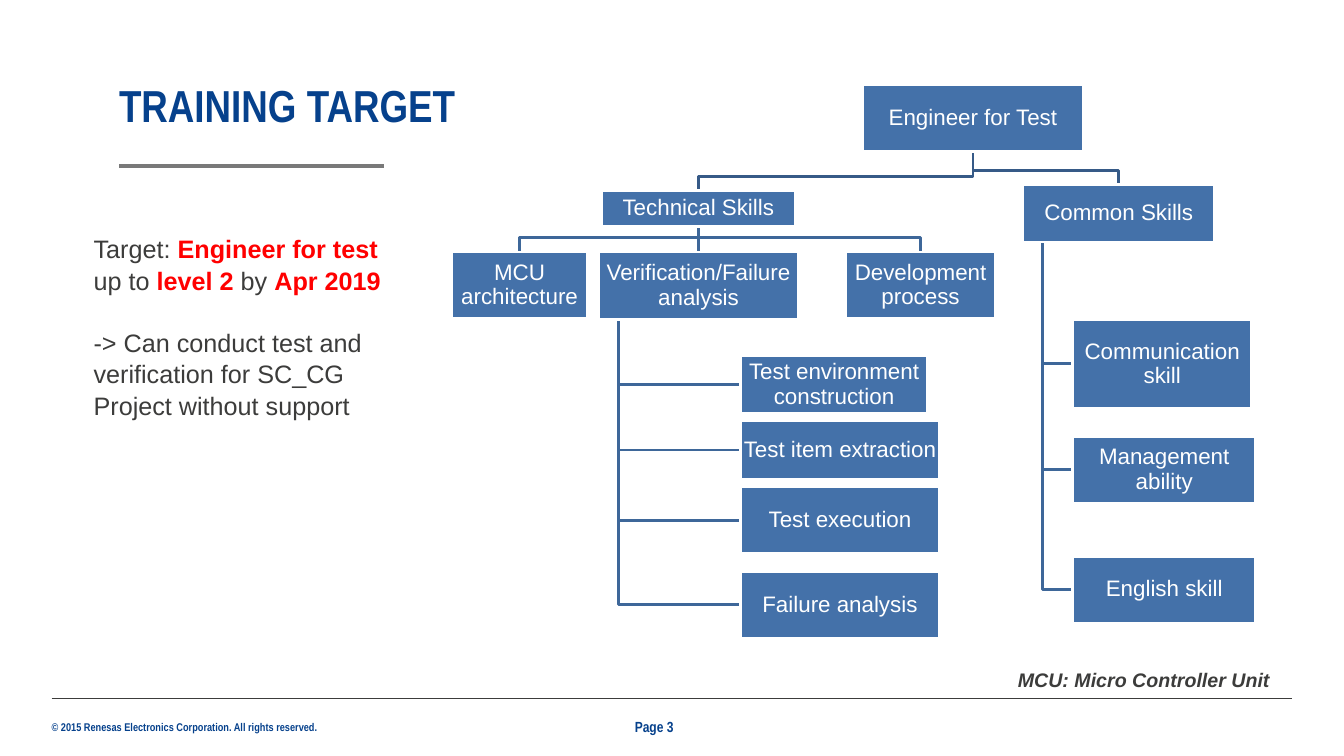
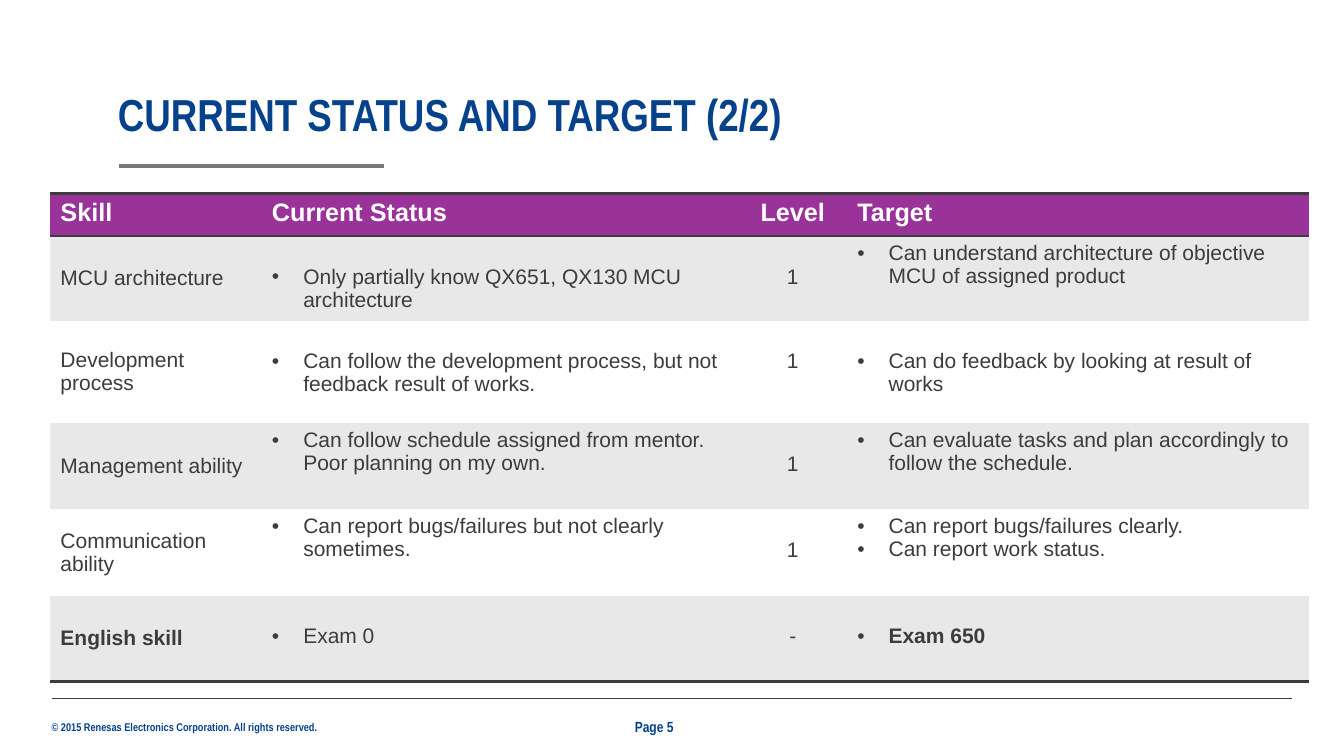
from lxml import etree
from pptx import Presentation
from pptx.dml.color import RGBColor
from pptx.enum import shapes, text
from pptx.oxml import ns
from pptx.util import Cm, Pt

BLUE = RGBColor(0x06, 0x41, 0x8C)
INK = RGBColor(0x3C, 0x3C, 0x3B)
GRAY = RGBColor(0x79, 0x79, 0x79)
RED = RGBColor(0xFF, 0x00, 0x00)
WHITE = RGBColor(0xFF, 0xFF, 0xFF)
BOX_BLUE = RGBColor(0x44, 0x71, 0xA9)
ROOT_LINK = RGBColor(0x36, 0x5A, 0x87)
LINK = RGBColor(0x3E, 0x67, 0x99)
PURPLE = RGBColor(0x99, 0x33, 0x99)
BAND = RGBColor(0xE8, 0xE8, 0xE8)

NARROW = {"name": "Arial Narrow", "bold": True}
BODY = {"name": "Arial", "size": Pt(18)}
BOX_FONT = {"name": "Arial", "size": Pt(16)}
CELL_FONT = {"name": "Arial", "size": Pt(15)}
NO_MARGINS = dict.fromkeys(
    ("margin_left", "margin_top", "margin_right", "margin_bottom"), 0)
MIDDLE = text.MSO_ANCHOR.MIDDLE
CENTER = text.PP_ALIGN.CENTER
NO_STYLE_TABLE = "{2D5ABB26-0587-4C30-8999-92F81FD0307C}"

# Skill boxes in cm: left, top, width, height
SKILLS = {
    "Engineer for Test": (21.74, 2.13, 5.56, 1.68),
    "Technical Skills": (15.16, 4.8, 4.88, 0.91),
    "Common Skills": (25.78, 4.65, 4.83, 1.45),
    "MCU architecture": (11.38, 6.35, 3.43, 1.68),
    "Verification/Failure analysis": (15.09, 6.35, 5.03, 1.7),
    "Development process": (21.31, 6.35, 3.78, 1.68),
    "Test environment construction": (18.67, 8.97, 4.7, 1.45),
    "Test item extraction": (18.67, 10.59, 5, 1.5),
    "Test execution": (18.67, 12.27, 5, 1.68),
    "Failure analysis": (18.67, 14.4, 5, 1.68),
    "Communication skill": (27.03, 8.05, 4.52, 2.24),
    "Management ability": (27.03, 11, 4.62, 1.68),
    "English skill": (27.03, 14.02, 4.62, 1.68),
}
FANS = {
    "Engineer for Test": ("Technical Skills", "Common Skills"),
    "Technical Skills": ("MCU architecture", "Verification/Failure analysis",
                         "Development process"),
}
LADDERS = {
    "Verification/Failure analysis": (
        "Test environment construction", "Test item extraction",
        "Test execution", "Failure analysis"),
    "Common Skills": ("Communication skill", "Management ability",
                      "English skill"),
}

HEADINGS = ("Skill", "Current Status", "Level", "Target")
COLUMN_WIDTHS = (5.33, 12.01, 2.74, 11.63)
ROW_HEIGHTS = (1.07, 2.02, 2.59, 2.17, 2.17, 2.17)
STATUS, LEVEL, TARGET = 1, 2, 3
# Cell texts, then the columns whose text starts one line lower
STATUS_ROWS = (
    (("MCU architecture",
      "Only partially know QX651, QX130 MCU architecture", "1",
      "Can understand architecture of objective MCU of assigned product"),
     (STATUS, LEVEL)),
    (("Development process",
      "Can follow the development process, but not feedback result of works.",
      "1", "Can do feedback by looking at result of works"),
     (STATUS, LEVEL, TARGET)),
    (("Management ability",
      "Can follow schedule assigned from mentor. Poor planning on my own.",
      "1", "Can evaluate tasks and plan accordingly to follow the schedule."),
     (LEVEL,)),
    (("Communication ability",
      "Can report bugs/failures but not clearly sometimes.", "1",
      "Can report bugs/failures clearly.\nCan report work status."),
     (LEVEL,)),
    (("English skill", "Exam 0", "-", "Exam 650"), (STATUS, LEVEL, TARGET)),
)
BOLD_CELLS = ("English skill", "Exam 650")


def apply(target, formats):
    for attribute, value in formats.items():
        setattr(target, attribute, value)


def write(paragraph, words, formats, color):
    run = paragraph.add_run()
    run.text = words
    apply(run.font, formats)
    run.font.color.rgb = color


def add_text(slide, place, frame_formats=None):
    """Add an empty wrapping text box and return its text frame."""
    frame = slide.shapes.add_textbox(*map(Cm, place)).text_frame
    apply(frame, {"word_wrap": True, **(frame_formats or {})})
    return frame


def add_rule(slide, left, right, y, color, width):
    rule = slide.shapes.add_connector(
        shapes.MSO_CONNECTOR.STRAIGHT, Cm(left), Cm(y), Cm(right), Cm(y))
    rule.line.color.rgb = color
    rule.line.width = Pt(width)
    etree.SubElement(rule.element.spPr, ns.qn("a:effectLst"))


def furnish_layout(layout, slide):
    """Draw the shared rules and copyright line, then move them to the layout."""
    own_count = len(slide.shapes)
    frame = add_text(slide, (1.3, 18.14, 6.81, 0.33),
                     {**NO_MARGINS, "word_wrap": False})
    write(frame.paragraphs[0],
          "© 2015 Renesas Electronics Corporation. All rights reserved.",
          {**NARROW, "size": Pt(8)}, BLUE)
    add_rule(slide, 1.3, 32.56, 17.6, INK, 0.5)
    add_rule(slide, 3, 9.68, 4.19, GRAY, 3)
    for shared in list(slide.shapes)[own_count:]:
        layout.shapes.element.append(shared.element)


def add_titled_slide(deck, layout, title, left, top, page):
    slide = deck.slides.add_slide(layout)
    holder = slide.shapes.title
    apply(holder, {"left": Cm(left), "top": Cm(top),
                   "width": Cm(25), "height": Cm(1.22)})
    apply(holder.text_frame, {
        **NO_MARGINS, "word_wrap": True,
        "vertical_anchor": text.MSO_ANCHOR.BOTTOM,
        "auto_size": text.MSO_AUTO_SIZE.NONE})
    heading = holder.text_frame.paragraphs[0]
    apply(heading, {"alignment": text.PP_ALIGN.LEFT, "line_spacing": 0.9})
    write(heading, title, {**NARROW, "size": Pt(32)}, BLUE)
    number = add_text(slide, (16, 18.08, 1.85, 0.46),
                      {**NO_MARGINS, "vertical_anchor": MIDDLE})
    write(number.paragraphs[0], f"Page {page}",
          {**NARROW, "size": Pt(10.5)}, BLUE)
    return slide


def add_links(slide, routes, color):
    """Draw the bent lines that leave one skill as a single outline."""
    paths = [[(Cm(x), Cm(y)) for x, y in route] for route in routes]
    builder = slide.shapes.build_freeform(*paths[0][0], scale=1.0)
    for index, path in enumerate(paths):
        if index:
            builder.move_to(*path[0])
        builder.add_line_segments(path[1:], close=False)
    links = builder.convert_to_shape()
    links.shadow.inherit = False
    links.fill.background()
    links.line.color.rgb = color
    links.line.width = Pt(2)


def fan_route(parent, child, rise=0.36):
    left, top, width, height = SKILLS[parent]
    child_left, child_top, child_width, _ = SKILLS[child]
    start, end = left + width / 2, child_left + child_width / 2
    bend = child_top - rise
    return [(start, top + height), (start, bend), (end, bend), (end, child_top)]


def ladder_route(parent, child):
    left, top, width, height = SKILLS[parent]
    child_left, child_top, _, child_height = SKILLS[child]
    stem, middle = left + width / 10, child_top + child_height / 2
    return [(stem, top + height), (stem, middle), (child_left, middle)]


def add_skill(slide, label, place):
    box = slide.shapes.add_shape(
        shapes.MSO_SHAPE.RECTANGLE, *map(Cm, place))
    box.shadow.inherit = False
    box.fill.solid()
    box.fill.fore_color.rgb = BOX_BLUE
    box.line.color.rgb = WHITE
    box.line.width = Pt(2)
    apply(box.text_frame, {**dict.fromkeys(NO_MARGINS, Cm(0.03)),
                           "word_wrap": True, "vertical_anchor": MIDDLE})
    paragraph = box.text_frame.paragraphs[0]
    apply(paragraph, {"alignment": CENTER, "line_spacing": 0.9})
    write(paragraph, label, BOX_FONT, WHITE)


def add_skill_tree(slide):
    for tree, route in ((LADDERS, ladder_route), (FANS, fan_route)):
        for parent, children in tree.items():
            color = ROOT_LINK if parent == "Engineer for Test" else LINK
            add_links(slide, [route(parent, child) for child in children],
                      color)
    for label, place in SKILLS.items():
        add_skill(slide, label, place)


def add_goal(slide):
    goal = add_text(slide, (2.11, 5.72, 8.46, 4.88))
    target = goal.paragraphs[0]
    for words, stressed in (("Target: ", False), ("Engineer for test ", True),
                            ("up to ", False), ("level 2", True),
                            (" by ", False), ("Apr 2019", True)):
        write(target, words, {**BODY, "bold": stressed},
              RED if stressed else INK)
    meaning = goal.add_paragraph()
    meaning.space_before = Pt(21.5)
    write(meaning, "-> Can conduct test and verification for SC_CG Project "
          "without support", BODY, INK)
    for paragraph in goal.paragraphs:
        paragraph.line_spacing = 1.05


def add_bullet(paragraph):
    properties = paragraph._p.get_or_add_pPr()
    properties.set("marL", str(Cm(0.79)))
    properties.set("indent", str(-Cm(0.79)))
    etree.SubElement(properties, ns.qn("a:buFont")).set("typeface", "Arial")
    etree.SubElement(properties, ns.qn("a:buChar")).set("char", "•")


def add_borders(cell, edges):
    """Rule the given edges, named in the order lnT, lnB."""
    properties = cell._tc.get_or_add_tcPr()
    for index, edge in enumerate(edges):
        border = etree.Element(ns.qn(f"a:{edge}"), w=str(Pt(2)))
        fill = etree.SubElement(border, ns.qn("a:solidFill"))
        etree.SubElement(fill, ns.qn("a:srgbClr")).set("val", str(INK))
        properties.insert(index, border)


def fill_cell(cell, column, words, formats, color, background, bulleted=False):
    cell.fill.solid()
    cell.fill.fore_color.rgb = background
    for index, line in enumerate(words.split("\n")):
        frame = cell.text_frame
        paragraph = frame.add_paragraph() if index else frame.paragraphs[0]
        if bulleted:
            add_bullet(paragraph)
        if column == LEVEL:
            paragraph.alignment = CENTER
        write(paragraph, line, formats, color)


def add_status_table(slide):
    holder = slide.shapes.add_table(
        len(ROW_HEIGHTS), len(HEADINGS), Cm(1.27), Cm(4.88),
        Cm(sum(COLUMN_WIDTHS)), Cm(sum(ROW_HEIGHTS)))
    next(holder.element.iter(ns.qn("a:tableStyleId"))).text = NO_STYLE_TABLE
    table = holder.table
    apply(table, {"first_row": True, "horz_banding": False})
    for column, width in zip(table.columns, COLUMN_WIDTHS):
        column.width = Cm(width)
    for row, height in zip(table.rows, ROW_HEIGHTS):
        row.height = Cm(height)

    for column, heading in enumerate(HEADINGS):
        cell = table.cell(0, column)
        fill_cell(cell, column, heading, {**BODY, "bold": True}, WHITE, PURPLE)
        add_borders(cell, ("lnT", "lnB"))
        add_borders(table.cell(len(STATUS_ROWS), column), ("lnB",))
    for row, (entries, lowered) in enumerate(STATUS_ROWS, start=1):
        for column, words in enumerate(entries):
            cell = table.cell(row, column)
            fill_cell(cell, column, words,
                      {**CELL_FONT, "bold": words in BOLD_CELLS}, INK,
                      BAND if row % 2 else WHITE, column in (STATUS, TARGET))
            if column == 0:
                cell.vertical_anchor = MIDDLE
            if column in lowered:
                cell.margin_top = Cm(0.73)


def main():
    deck = Presentation()
    apply(deck, {"slide_width": Cm(33.87), "slide_height": Cm(19.05)})
    layout = deck.slide_layouts.get_by_name("Title Only")

    target = add_titled_slide(deck, layout, "TRAINING TARGET", 3, 2.11, 3)
    furnish_layout(layout, target)
    add_skill_tree(target)
    add_goal(target)
    note = add_text(target, (25.4, 16.71, 7.62, 0.86))
    write(note.paragraphs[0], "MCU: Micro Controller Unit",
          {"name": "Arial", "size": Pt(14), "bold": True, "italic": True}, INK)

    status = add_titled_slide(
        deck, layout, "CURRENT STATUS AND TARGET (2/2)", 2.97, 2.34, 5)
    add_status_table(status)
    deck.save("out.pptx")


if __name__ == "__main__":
    main()
